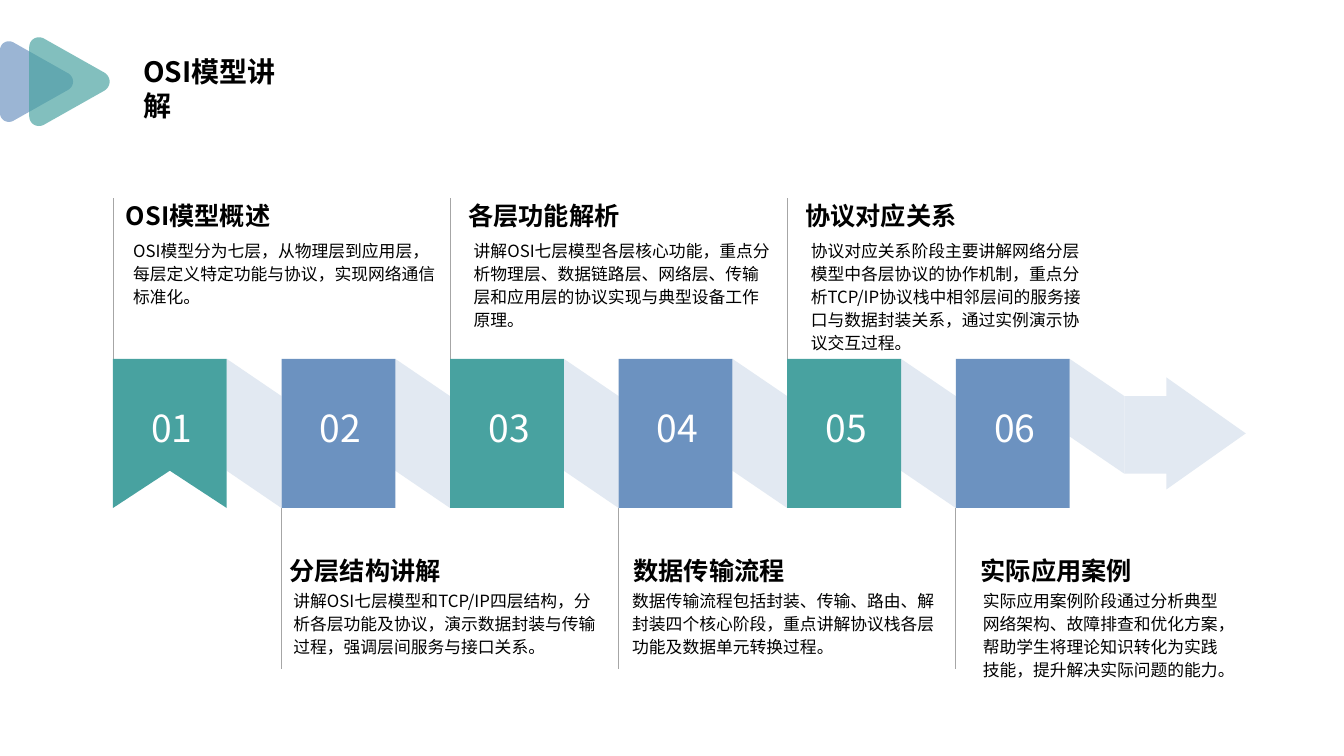
from lxml.etree import SubElement
from pptx import Presentation
from pptx.dml.color import RGBColor
from pptx.enum.shapes import MSO_CONNECTOR, MSO_SHAPE
from pptx.enum.text import MSO_ANCHOR, MSO_AUTO_SIZE, PP_ALIGN
from pptx.oxml.ns import qn
from pptx.util import Inches, Pt

COLORS = {"teal": "48A2A0", "blue": "6C92C0", "pale": "E2E9F2",
          "line": "A6A6A6", "black": "000000", "white": "FFFFFF"}
FONT = "Noto Sans CJK SC"

# Grid: one column per step, block height is four rows
LEFT, TOP, COL, ROW = 1.12, 3.56, 1.672, 0.37
BLOCK = 0.675  # block width in columns; the fold fills the rest

# Heading, its column, body column, body width in columns, body text
STEPS = [
    ("OSI模型概述", 0, 0.12, 1.81,
     "OSI模型分为七层，从物理层到应用层，每层定义特定功能与协议，实现网络通信标准化。"),
    ("分层结构讲解", 0.97, 1.07, 1.85,
     "讲解OSI七层模型和TCP/IP四层结构，分析各层功能及协议，演示数据封装与传输过程，强调层间服务与接口关系。"),
    ("各层功能解析", 2.03, 2.14, 1.78,
     "讲解OSI七层模型各层核心功能，重点分析物理层、数据链路层、网络层、传输层和应用层的协议实现与典型设备工作原理。"),
    ("数据传输流程", 3.01, 3.08, 1.85,
     "数据传输流程包括封装、传输、路由、解封装四个核心阶段，重点讲解协议栈各层功能及数据单元转换过程。"),
    ("协议对应关系", 4.03, 4.14, 1.63,
     "协议对应关系阶段主要讲解网络分层模型中各层协议的协作机制，重点分析TCP/IP协议栈中相邻层间的服务接口与数据封装关系，通过实例演示协议交互过程。"),
    ("实际应用案例", 5.07, 5.16, 1.45,
     "实际应用案例阶段通过分析典型网络架构、故障排查和优化方案，帮助学生将理论知识转化为实践技能，提升解决实际问题的能力。"),
]


class Deck:
    """Holds the slide and its style; places elements by column and row."""

    def __init__(self, slide):
        self.s = slide

    def x(self, col):
        return Inches(LEFT + COL * col)

    def y(self, row):
        return Inches(TOP + ROW * row)

    def paint(self, sp, color, alpha=None):
        sp.shadow.inherit = False
        sp.fill.solid()
        sp.fill.fore_color.rgb = RGBColor.from_string(COLORS[color])
        sp.line.fill.background()
        if alpha:
            clr = sp._element.spPr.find(".//" + qn("a:srgbClr"))
            SubElement(clr, qn("a:alpha")).set("val", str(alpha * 1000))

    def outline(self, points, color, alpha=None):
        fb = self.s.shapes.build_freeform(*points[0])
        fb.add_line_segments(points[1:], close=True)
        self.paint(fb.convert_to_shape(), color, alpha)

    def polygon(self, cells, color):
        self.outline([(self.x(c), self.y(r)) for c, r in cells], color)

    def block(self, col, color):
        sp = self.s.shapes.add_shape(MSO_SHAPE.RECTANGLE, self.x(col), self.y(0),
                                     Inches(COL * BLOCK), Inches(ROW * 4))
        self.paint(sp, color)

    def rule(self, col, row1, row2):
        cn = self.s.shapes.add_connector(MSO_CONNECTOR.STRAIGHT, self.x(col),
                                         self.y(row1), self.x(col), self.y(row2))
        cn.line.color.rgb = RGBColor.from_string(COLORS["line"])
        cn.line.width = Pt(0.5)
        SubElement(cn._element.spPr, qn("a:effectLst"))

    def set_text(self, tf, text, size, color="black", bold=False,
                 align=PP_ALIGN.LEFT, spacing=1.0):
        tf.word_wrap = True
        tf.auto_size = MSO_AUTO_SIZE.NONE
        p = tf.paragraphs[0]
        p.alignment, p.line_spacing = align, spacing
        r = p.add_run()
        r.text = text
        p.font.size, p.font.bold, p.font.name = Pt(size), bold, FONT
        p.font.color.rgb = RGBColor.from_string(COLORS[color])
        # East Asian characters take their own typeface entry
        SubElement(r._r.get_or_add_rPr(), qn("a:ea")).set("typeface", FONT)

    def title(self, text, left, top, width, height):
        sp = self.s.shapes.title
        sp.left, sp.top = Inches(left), Inches(top)
        sp.width, sp.height = Inches(width), Inches(height)
        sp.text_frame.vertical_anchor = MSO_ANCHOR.TOP
        self.set_text(sp.text_frame, text, 20, bold=True)

    def text(self, text, col, row, cols, rows, size, inset,
             anchor=MSO_ANCHOR.TOP, **style):
        sp = self.s.shapes.add_textbox(self.x(col), self.y(row),
                                       Inches(COL * cols), Inches(ROW * rows))
        tf = sp.text_frame
        tf.margin_left = tf.margin_right = Inches(inset[0])
        tf.margin_top = tf.margin_bottom = Inches(inset[1])
        tf.vertical_anchor = anchor
        self.set_text(tf, text, size, **style)

    def round_triangle(self, left, scale, color):
        """Right-pointing triangle whose three corners are Bezier curves."""
        top = [(0.13, -0.39), (0.07, -0.42), (0, -0.38), (0, -0.31)]
        bottom = [(px, -py) for px, py in reversed(top)]
        tip = [(0.68, 0.08), (0.74, 0.04), (0.74, -0.04), (0.68, -0.08)]
        points = []
        for corner in (top, bottom, tip):
            for step in range(13):
                t = step / 12
                weights = ((1 - t) ** 3, 3 * t * (1 - t) ** 2,
                           3 * t * t * (1 - t), t ** 3)
                px, py = (sum(w * c[axis] for w, c in zip(weights, corner))
                          for axis in (0, 1))
                points.append((Inches(left + scale * px),
                               Inches(0.81 + scale * py)))
        self.outline(points, color, 68)


def main():
    prs = Presentation()
    prs.slide_width, prs.slide_height = Inches(13.33), Inches(7.5)
    deck = Deck(prs.slides.add_slide(prs.slide_layouts[5]))

    # Title with its two overlapping triangles
    deck.title("OSI模型讲解", 1.32, 0.49, 1.7, 0.44)
    deck.round_triangle(0, 1, "blue")
    deck.round_triangle(0.29, 1.1, "teal")

    # Guide lines: up from odd steps, down from even ones
    for i in range(len(STEPS)):
        deck.rule(i, *((4, 8.32) if i % 2 else (-4.3, 0)))

    # Folds between the blocks, the last one shorter, then the arrow
    for i in range(len(STEPS)):
        depth = 3.08 if i == len(STEPS) - 1 else 4
        deck.polygon([(i + BLOCK, 0), (i + 1, 1), (i + 1, depth),
                      (i + BLOCK, depth - 1)], "pale")
    deck.polygon([(6, 1), (6.25, 1), (6.25, 0.5), (6.72, 2),
                  (6.25, 3.5), (6.25, 3.08), (6, 3.08)], "pale")

    # First block is a notched ribbon, the others are rectangles
    deck.polygon([(0, 0), (BLOCK, 0), (BLOCK, 4), (BLOCK / 2, 3), (0, 4)], "teal")
    for i in range(1, len(STEPS)):
        deck.block(i, "blue" if i % 2 else "teal")

    # Numbers, headings and descriptions
    for i, (heading, head_col, body_col, body_cols, body) in enumerate(STEPS):
        head_row, body_row = (4.92, 6.14) if i % 2 else (-4.59, -3.24)
        deck.text(f"{i + 1:02}", i - 0.07, 0.49, 0.84, 2.68, 26.6, (0.1, 0.05),
                  MSO_ANCHOR.MIDDLE, color="white", align=PP_ALIGN.CENTER)
        deck.text(heading, head_col, head_row, 1.53, 3.68, 18, (0.13, 0.07),
                  bold=True, align=PP_ALIGN.JUSTIFY, spacing=1.2)
        deck.text(body, body_col, body_row, body_cols, 2.95, 12, (0, 0),
                  spacing=1.14)

    prs.save("out.pptx")


if __name__ == "__main__":
    main()
